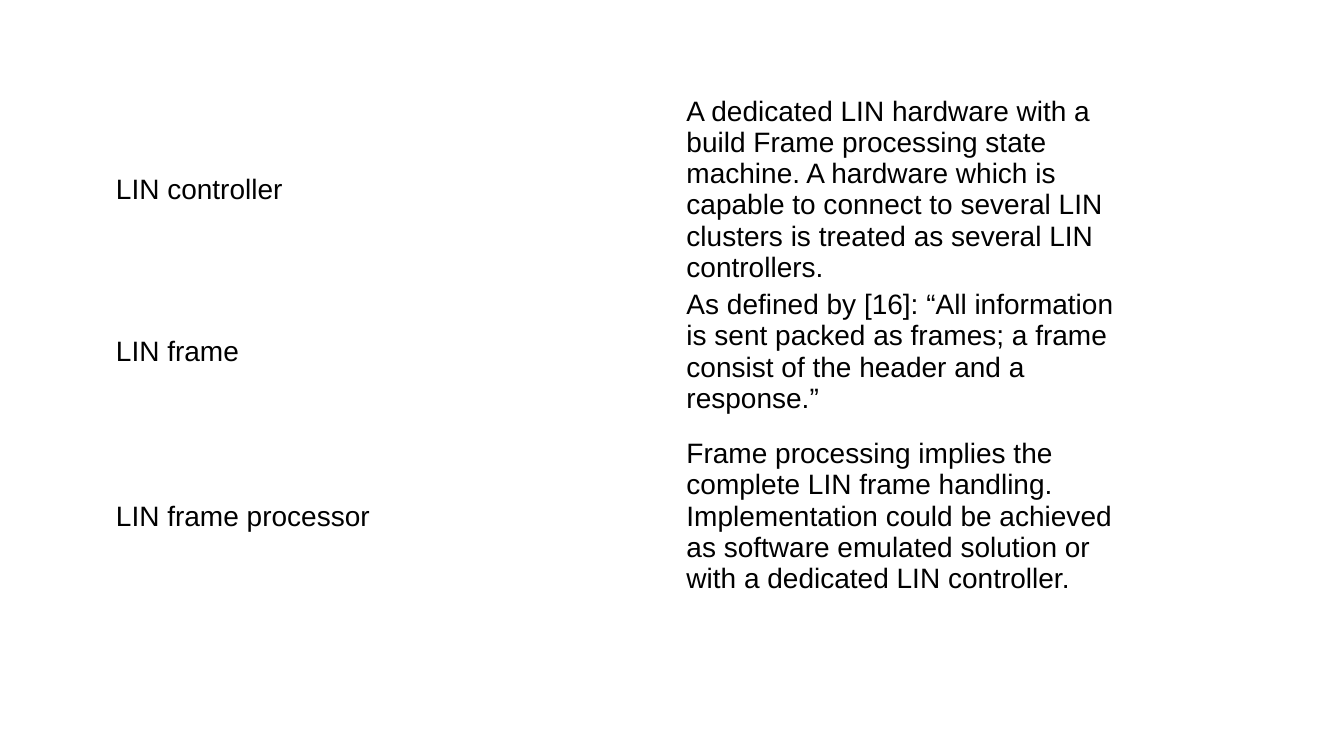
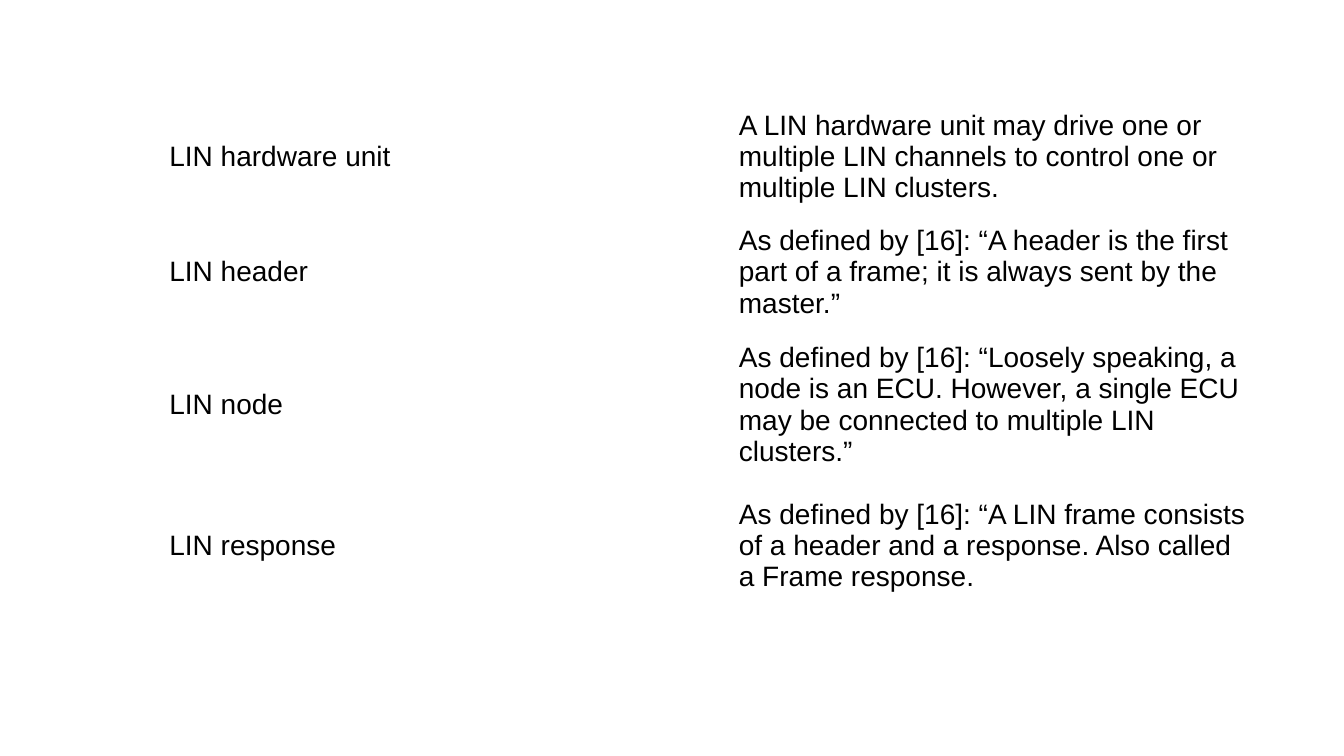
from dataclasses import dataclass

from pptx import Presentation
from pptx.dml.color import RGBColor
from pptx.enum.text import MSO_VERTICAL_ANCHOR as Anchor
from pptx.slide import Slide
from pptx.table import _Cell as Cell
from pptx.util import Inches, Length, Pt


@dataclass(frozen=True)
class Theme:
    background: RGBColor = RGBColor(0xFF, 0xFF, 0xFF)
    ink: RGBColor = RGBColor(0x00, 0x00, 0x00)
    font: str = "Arial"
    body_size: float = 20
    inset_x: float = 0.6
    inset_y: float = 0.3


@dataclass(frozen=True)
class Entry:
    term: str
    definition: str
    rows: float


@dataclass(frozen=True)
class Glossary:
    """A two-column table; all lengths are in grid units."""
    left: float
    top: float
    columns: tuple[float, float]
    entries: tuple[Entry, ...]


THEME = Theme()
SLIDE_COLUMNS, SLIDE_ROWS = 133.33, 75

GLOSSARIES = (
    Glossary(10.9, 9.2, (56.6, 45.9), (
        Entry("LIN controller",
              "A dedicated LIN hardware with a build Frame processing state machine. "
              "A hardware which is capable to connect to several LIN clusters is "
              "treated as several LIN controllers.", 16.6),
        Entry("LIN frame",
              "As defined by [16]: “All information is sent packed as frames; "
              "a frame consist of the header and a response.”", 11.2),
        Entry("LIN frame processor",
              "Frame processing implies the complete LIN frame handling. "
              "Implementation could be achieved as software emulated solution or "
              "with a dedicated LIN controller.", 19.7),
    )),
    Glossary(16.2, 9.4, (56.5, 51.5), (
        Entry("LIN hardware unit",
              "A LIN hardware unit may drive one or multiple LIN channels to control "
              "one or multiple LIN clusters.", 12.3),
        Entry("LIN header",
              "As defined by [16]: “A header is the first part of a frame; "
              "it is always sent by the master.”", 10.6),
        Entry("LIN node",
              "As defined by [16]: “Loosely speaking, a node is an ECU. However, "
              "a single ECU may be connected to multiple LIN clusters.”", 15.7),
        Entry("LIN response",
              "As defined by [16]: “A LIN frame consists of a header and a response. "
              "Also called a Frame response.", 12.3),
    )),
)


def grid(units: float) -> Length:
    """Convert grid units, each a tenth of an inch, to a length."""
    return Inches(units / 10)


def write_cell(cell: Cell, text: str, *, size: float = THEME.body_size,
               color: RGBColor = THEME.ink, font: str = THEME.font,
               anchor: Anchor = Anchor.MIDDLE) -> None:
    cell.fill.background()
    cell.vertical_anchor = anchor
    cell.margin_left = cell.margin_right = grid(THEME.inset_x)
    cell.margin_top = cell.margin_bottom = grid(THEME.inset_y)
    r = cell.text_frame.paragraphs[0].add_run()
    r.text = text
    r.font.name = font
    r.font.size = Pt(size)
    r.font.color.rgb = color


def draw_glossary(s: Slide, glossary: Glossary) -> None:
    entries = glossary.entries
    table = s.shapes.add_table(
        len(entries), len(glossary.columns),
        grid(glossary.left), grid(glossary.top),
        grid(sum(glossary.columns)), grid(sum(e.rows for e in entries)),
    ).table
    table.first_row = table.horz_banding = False
    for column, width in zip(table.columns, glossary.columns):
        column.width = grid(width)
    for row, entry in zip(table.rows, entries):
        row.height = grid(entry.rows)
        for cell, text in zip(row.cells, (entry.term, entry.definition)):
            write_cell(cell, text)


def main() -> None:
    prs = Presentation()
    prs.slide_width, prs.slide_height = grid(SLIDE_COLUMNS), grid(SLIDE_ROWS)
    fill = prs.slide_master.background.fill
    fill.solid()
    fill.fore_color.rgb = THEME.background
    blank = prs.slide_layouts[6]
    for glossary in GLOSSARIES:
        draw_glossary(prs.slides.add_slide(blank), glossary)
    prs.save("out.pptx")


if __name__ == "__main__":
    main()
